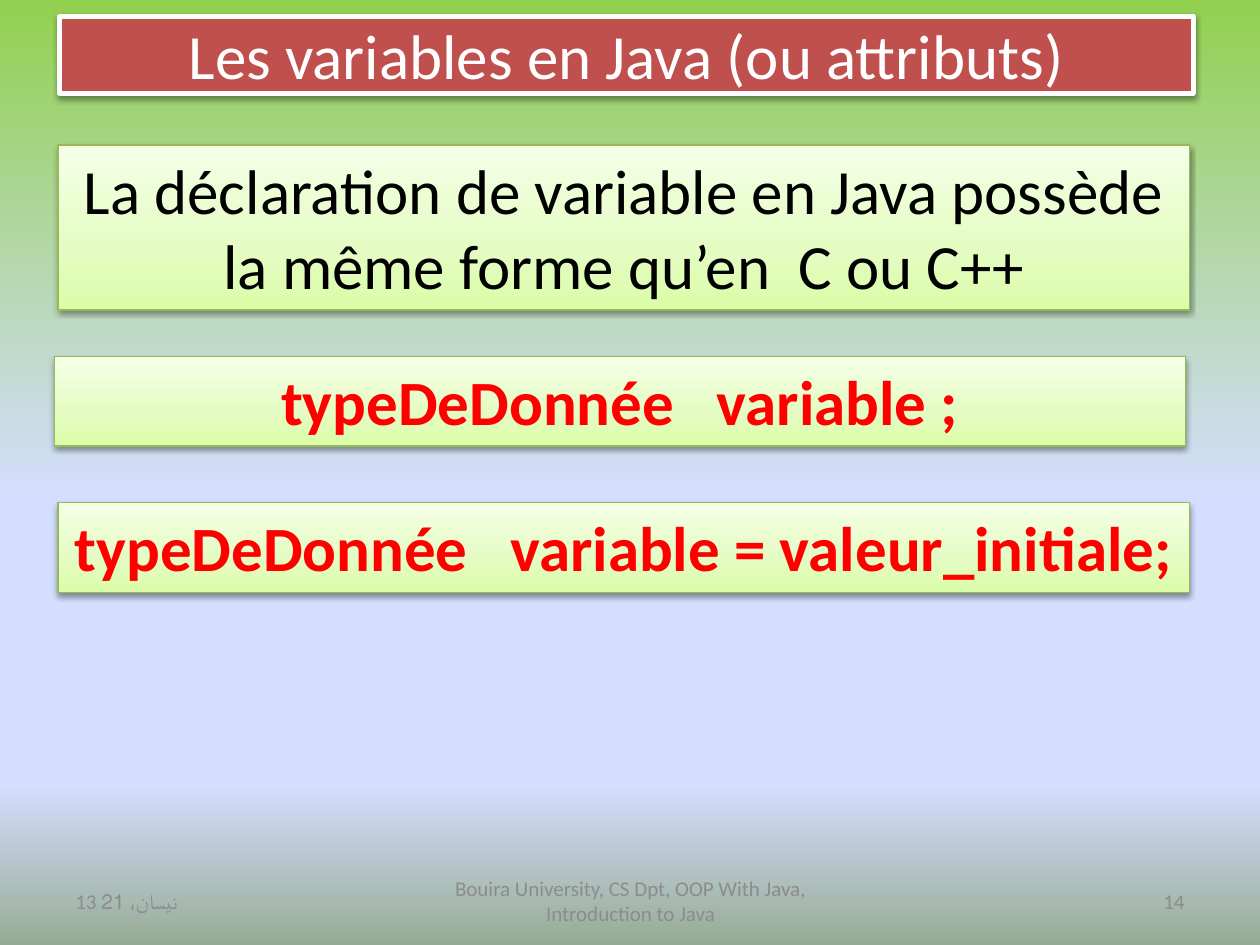
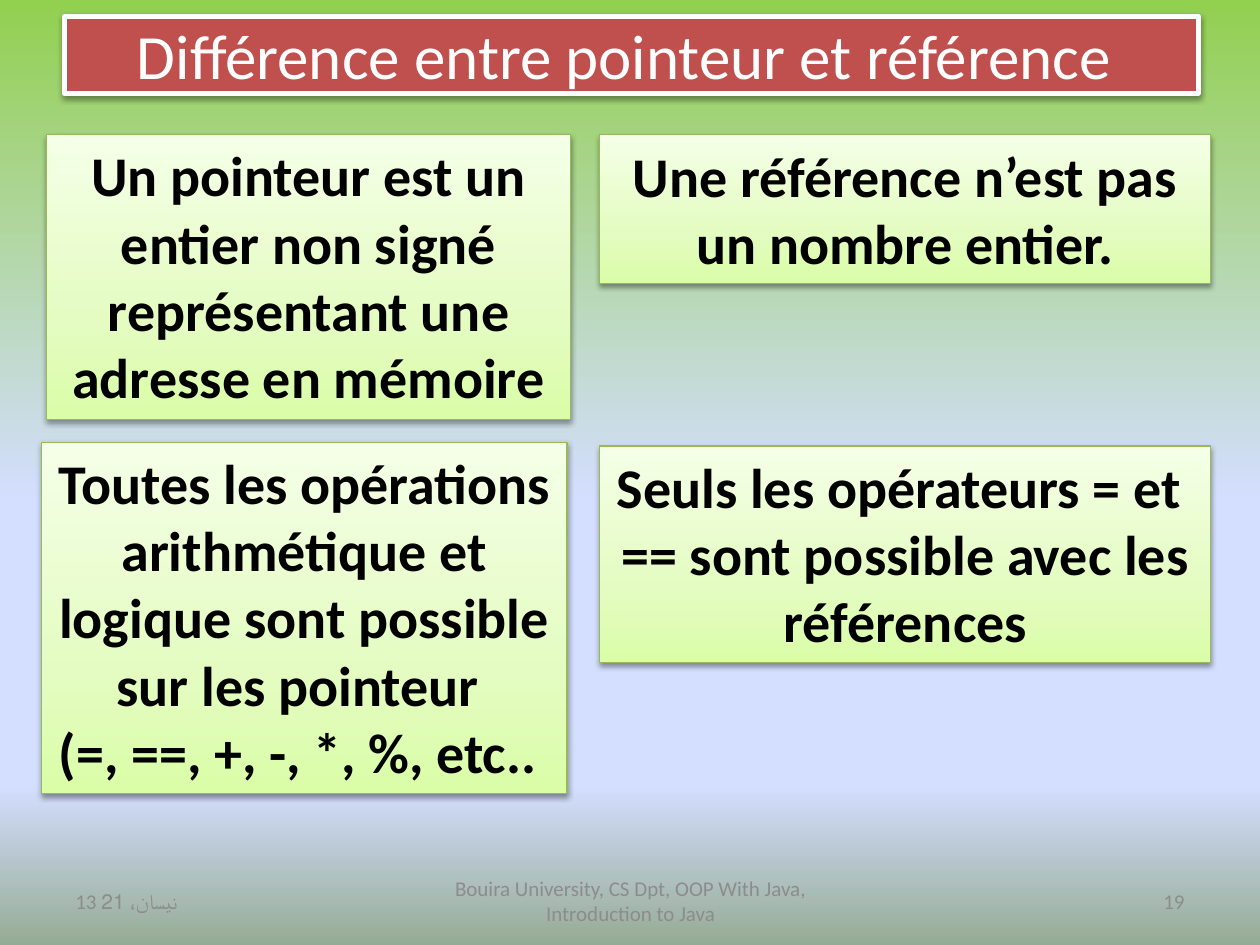
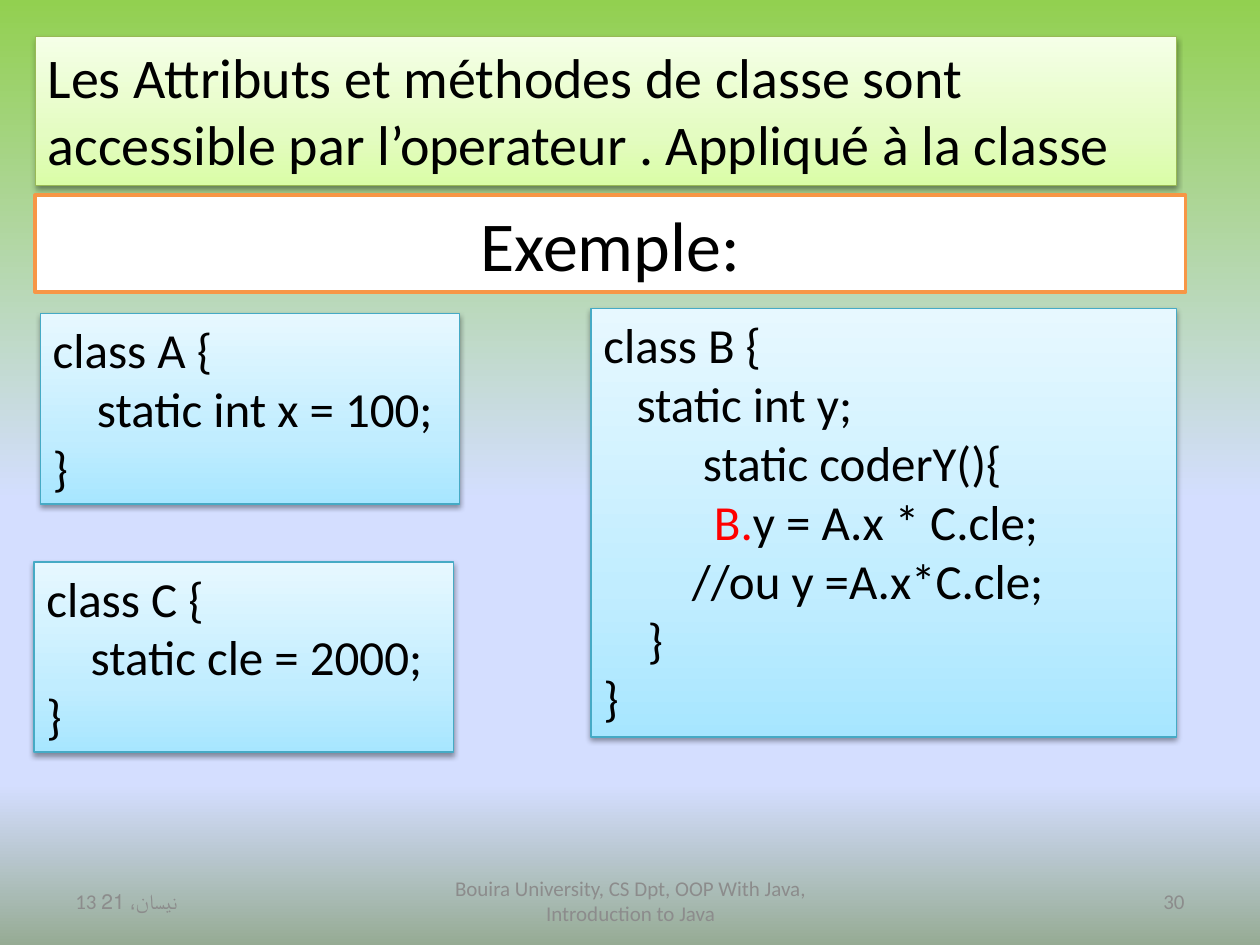
"""Build three slides of a Java course on variables, references and class members."""
from dataclasses import dataclass

from lxml.etree import SubElement
from pptx import Presentation
from pptx.dml.color import RGBColor
from pptx.enum.shapes import MSO_SHAPE
from pptx.enum.text import MSO_ANCHOR as ANCHOR, MSO_AUTO_SIZE as FIT, PP_ALIGN as ALIGN
from pptx.oxml.ns import qn
from pptx.util import Inches, Pt

FONT = "Calibri"
COLORS = {
    "black": "000000", "white": "FFFFFF", "red": "FF0000", "grey": "8C8C8C",
    "title": "C0504D", "green_line": "98B955", "blue_line": "46AAC5", "orange": "F79646",
}
GRADIENTS = {
    "page": [(0, "92D050"), (53, "D4DEFF"), (83, "D4DEFF"), (100, "96AB94")],
    "green": [(0, "DAFDA7"), (35, "E4FCC2"), (100, "F5FFE7")],
    "blue": [(0, "A7E6FF"), (35, "C1EDFF"), (100, "E7F8FF")],
}
FOOTER = "Bouira University, CS Dpt, OOP With Java, Introduction to Java"
DATE = "13 نيسان، 21"


@dataclass(frozen=True)
class Style:
    fill: str
    line: str
    line_width: float = 0.75
    shadow: bool = True


@dataclass(frozen=True)
class Text:
    size: float
    color: str = "black"
    bold: bool = False
    align: ALIGN = ALIGN.CENTER


@dataclass(frozen=True)
class Box:
    at: tuple[float, float, float, float]
    lines: tuple[str, ...]
    text: Text
    style: Style
    highlight: str = ""


@dataclass(frozen=True)
class Page:
    number: int
    boxes: tuple[Box, ...]
    title: str = ""
    title_left: float = 0.47


TITLE = Style("title", "white", 3)
GREEN = Style("green", "green_line")
BLUE = Style("blue", "blue_line")
EXAMPLE = Style("white", "orange", 2, shadow=False)

HEADING = Text(36, "white")
STATEMENT = Text(36)
SYNTAX = Text(36, "red", bold=True)
COMPARISON = Text(32, bold=True)
RULE = Text(32, align=ALIGN.LEFT)
CODE = Text(28, align=ALIGN.LEFT)

PAGES = (
    Page(14, (
        Box((0.46, 1.15, 8.98, 1.31),
            ("La déclaration de variable en Java possède la même forme qu’en  C ou C++",),
            STATEMENT, GREEN),
        Box((0.43, 2.83, 8.98, 0.71), ("typeDeDonnée   variable ;",), SYNTAX, GREEN),
        Box((0.46, 3.99, 8.98, 0.71), ("typeDeDonnée   variable = valeur_initiale;",),
            SYNTAX, GREEN),
    ), "Les variables en Java (ou attributs)"),
    Page(19, (
        Box((0.37, 1.07, 4.16, 2.26),
            ("Un pointeur est un entier non signé représentant une adresse en mémoire",),
            COMPARISON, GREEN),
        Box((4.76, 1.07, 4.85, 1.18), ("Une référence n’est pas un nombre entier.",),
            COMPARISON, GREEN),
        Box((0.33, 3.51, 4.17, 2.79),
            ("Toutes les opérations arithmétique et logique sont possible sur les pointeur ",
             "(=, ==, +, -, *, %, etc.. "), COMPARISON, GREEN),
        Box((4.76, 3.54, 4.85, 1.72),
            ("Seuls les opérateurs = et  == sont possible avec les références",),
            COMPARISON, GREEN),
    ), "Différence entre pointeur et référence ", 0.51),
    Page(30, (
        Box((0.32, 2.49, 3.33, 1.51), ("class A {", "    static int x = 100;", "}"), CODE, BLUE),
        Box((0.28, 0.29, 9.06, 1.18),
            ("Les Attributs et méthodes de classe sont accessible par l’operateur . "
             "Appliqué à la classe",), RULE, GREEN),
        Box((4.69, 2.45, 4.65, 3.4),
            ("class B {", "   static int y;", "         static coderY(){",
             "          B.y = A.x * C.cle;", "        //ou y =A.x*C.cle;", "    }", "}"),
            CODE, BLUE, highlight="B."),
        Box((0.28, 1.55, 9.13, 0.77), ("Exemple:",), Text(40), EXAMPLE),
        Box((0.27, 4.46, 3.33, 1.51), ("class C {", "    static cle = 2000;", "}"), CODE, BLUE),
    )),
)


def rgb(name: str) -> RGBColor:
    """Return the named colour."""
    return RGBColor.from_string(COLORS[name])


def set_gradient(fill, element, name: str, angle: float) -> None:
    """Give a fill the stops of the named gradient."""
    fill.gradient()
    fill.gradient_angle = angle
    stops = next(element.iter(qn("a:gsLst")))
    for stop in list(stops):
        stops.remove(stop)
    for percent, color in GRADIENTS[name]:
        stop = SubElement(stops, qn("a:gs"), pos=str(percent * 1000))
        SubElement(stop, qn("a:srgbClr"), val=color)


def apply_style(sp, style: Style) -> None:
    """Set the fill, outline and shadow of a shape."""
    if style.fill in GRADIENTS:
        set_gradient(sp.fill, sp._element.spPr, style.fill, 90)
    else:
        sp.fill.solid()
        sp.fill.fore_color.rgb = rgb(style.fill)
    sp.line.color.rgb = rgb(style.line)
    sp.line.width = Pt(style.line_width)
    sp.shadow.inherit = False
    if style.shadow:
        effects = sp._element.spPr.find(qn("a:effectLst"))
        shadow = SubElement(effects, qn("a:outerShdw"), blurRad="40000", dist="20000",
                            dir="5400000", rotWithShape="0")
        color = SubElement(shadow, qn("a:srgbClr"), val=COLORS["black"])
        SubElement(color, qn("a:alpha"), val="38000")


def write(sp, lines: tuple[str, ...], text: Text, anchor: ANCHOR,
          fit: FIT = FIT.NONE, highlight: str = "") -> None:
    """Write one paragraph per line, with the highlighted part in red."""
    tf = sp.text_frame
    tf.word_wrap = True
    tf.auto_size = fit
    tf.vertical_anchor = anchor
    for i, line in enumerate(lines):
        p = tf.paragraphs[0] if i == 0 else tf.add_paragraph()
        p.alignment = text.align
        p.font.name = FONT
        p.font.size = Pt(text.size)
        p.font.bold = text.bold
        p.font.color.rgb = rgb(text.color)
        parts = line.partition(highlight) if highlight else (line,)
        for part in filter(None, parts):
            r = p.add_run()
            r.text = part
            if part == highlight:
                r.font.color.rgb = rgb("red")


def add_title(slide, title: str, left: float) -> None:
    """Place and format the title placeholder."""
    sp = slide.shapes.title
    sp.left, sp.top, sp.width, sp.height = map(Inches, (left, 0.13, 9, 0.61))
    apply_style(sp, TITLE)
    write(sp, (title,), HEADING, ANCHOR.MIDDLE)


def add_box(slide, box: Box) -> None:
    """Draw a styled rectangle with its text."""
    sp = slide.shapes.add_shape(MSO_SHAPE.RECTANGLE, *map(Inches, box.at))
    apply_style(sp, box.style)
    write(sp, box.lines, box.text, ANCHOR.TOP, FIT.SHAPE_TO_FIT_TEXT, box.highlight)


def add_footers(slide, number: int) -> None:
    """Write the date, the course name and the slide number."""
    for left, width, words, align in (
        (0.5, 2.33, DATE, ALIGN.LEFT),
        (3.42, 3.17, FOOTER, ALIGN.CENTER),
        (7.17, 2.33, str(number), ALIGN.RIGHT),
    ):
        sp = slide.shapes.add_textbox(*map(Inches, (left, 6.95, width, 0.4)))
        write(sp, (words,), Text(12, "grey", align=align), ANCHOR.MIDDLE)


def main() -> None:
    """Build and save the presentation."""
    prs = Presentation()
    prs.slide_width, prs.slide_height = Inches(10), Inches(7.5)
    master = prs.slide_master
    set_gradient(master.background.fill, master.element.cSld, "page", 270)
    title_only, blank = prs.slide_layouts[5], prs.slide_layouts[6]
    for page in PAGES:
        slide = prs.slides.add_slide(title_only if page.title else blank)
        if page.title:
            add_title(slide, page.title, page.title_left)
        for box in page.boxes:
            add_box(slide, box)
        add_footers(slide, page.number)
    prs.save("out.pptx")


if __name__ == "__main__":
    main()
